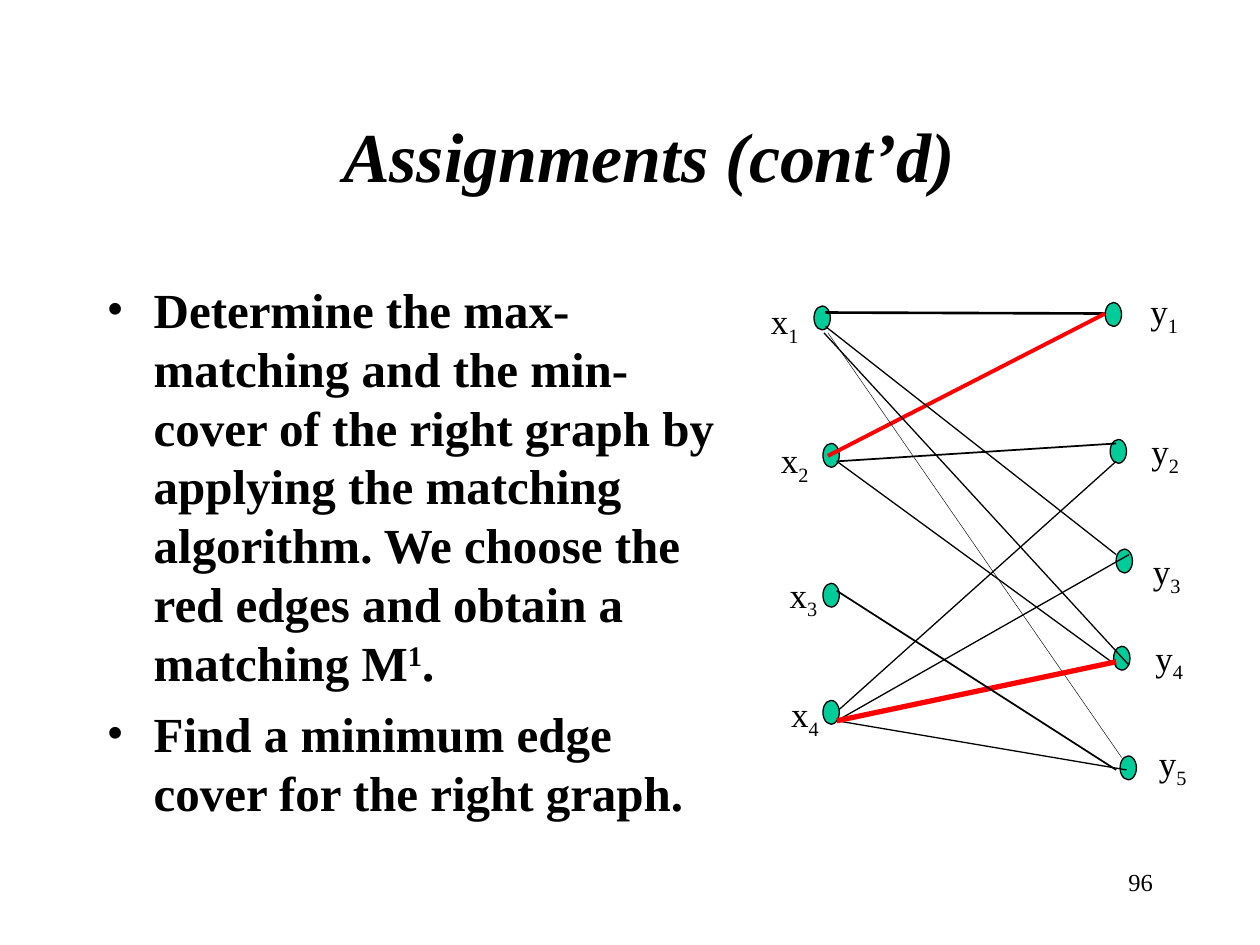
import pptx
import pptx.util
import pptx.dml.color
import pptx.enum.shapes
import pptx.enum.text
import pptx.oxml

Cm, Pt = pptx.util.Cm, pptx.util.Pt
RGBColor = pptx.dml.color.RGBColor
ALIGN = pptx.enum.text.PP_ALIGN
BLACK = RGBColor(0x00, 0x00, 0x00)
RED = RGBColor(0xFF, 0x00, 0x00)
GREEN = RGBColor(0x00, 0xCC, 0x99)
NS = 'xmlns:a="http://schemas.openxmlformats.org/drawingml/2006/main"'

HEAD = {"size": Pt(40), "bold": True, "italic": True}
BODY = {"size": Pt(28), "bold": True}
LABEL = {"size": Pt(20)}
PAGE = {"size": Pt(14)}


def add_run(para, text, style, shift=0):
    run = para.add_run()
    run.text = text
    for key, val in {"name": "Times New Roman", **style}.items():
        setattr(run.font, key, val)
    run.font.color.rgb = BLACK
    if shift:
        run.font._element.set("baseline", str(shift * 1000))


def add_box(left, top, width, height):
    box = slide.shapes.add_textbox(Cm(left), Cm(top), Cm(width), Cm(height))
    box.text_frame.word_wrap = True
    return box.text_frame


prs = pptx.Presentation()
prs.slide_width, prs.slide_height = Cm(25.4), Cm(19.05)
slide = prs.slides.add_slide(prs.slide_layouts[5])

# Title
title = slide.shapes.title
place = {"left": 2.29, "top": 1.52, "width": 21.59, "height": 3.18}
for key, val in place.items():
    setattr(title, key, Cm(val))
frame = title.text_frame
frame.vertical_anchor = pptx.enum.text.MSO_ANCHOR.MIDDLE
frame.auto_size = pptx.enum.text.MSO_AUTO_SIZE.NONE
frame.paragraphs[0].alignment = ALIGN.CENTER
add_run(frame.paragraphs[0], "Assignments (cont’d)", HEAD)

# Bulleted tasks
tasks = [
    [("Determine the max-matching and the min-cover of the right graph by "
      "applying the matching algorithm. We choose the red edges and obtain "
      "a matching M", 0), ("1", 30), (".", 0)],
    [("Find a minimum edge cover for the right graph.", 0)],
]
frame = add_box(1.9, 5.51, 13, 11.43)
for num, task in enumerate(tasks):
    para = frame.add_paragraph() if num else frame.paragraphs[0]
    para.space_before = Pt(7)
    props = para._p.get_or_add_pPr()
    props.set("marL", str(Cm(0.95)))
    props.set("indent", str(Cm(-0.95)))
    for mark in ('buFont %s typeface="Times New Roman"', 'buChar %s char="•"'):
        props.append(pptx.oxml.parse_xml("<a:" + mark % NS + "/>"))
    for text, shift in task:
        add_run(para, text, BODY, shift)

# Nodes and labels: name, node left and top, label left and top
nodes = [
    ("x1", 16.41, 6.17, 15.29, 5.92),
    ("x2", 16.59, 8.94, 15.49, 8.71),
    ("x3", 16.59, 11.76, 15.67, 11.43),
    ("x4", 16.59, 14.12, 15.7, 13.84),
    ("y1", 22.28, 6.1, 22.94, 5.72),
    ("y2", 22.38, 8.86, 22.96, 8.53),
    ("y3", 22.5, 11.07, 22.99, 10.95),
    ("y4", 22.45, 13.03, 23.04, 12.7),
    ("y5", 22.58, 15.24, 23.11, 14.83),
]
for name, left, top, tag_left, tag_top in nodes:
    dot = slide.shapes.add_shape(pptx.enum.shapes.MSO_SHAPE.OVAL,
                                 Cm(left), Cm(top), Cm(0.33), Cm(0.48))
    dot.shadow.inherit = False
    dot.fill.solid()
    dot.fill.fore_color.rgb = GREEN
    dot.line.color.rgb = BLACK
    dot.line.width = Pt(0.75)
    para = add_box(tag_left, tag_top, 1.65, 1.22).paragraphs[0]
    para.space_before = Pt(12.5)
    add_run(para, name[0], LABEL)
    add_run(para, name[1], LABEL, -25)

# Edges: start, end, width, colour
edges = [
    (16.64, 6.3, 22.28, 6.32, 1.5, BLACK),
    (16.69, 9.19, 22.28, 6.32, 2.25, RED),
    (16.92, 14.3, 22.5, 9.3, 0.75, BLACK),
    (16.64, 6.58, 22.5, 11.18, 0.75, BLACK),
    (16.61, 6.71, 22.76, 13.41, 0.75, BLACK),
    (16.69, 6.71, 22.61, 15.27, 0.25, BLACK),
    (16.87, 9.3, 22.5, 8.94, 1, BLACK),
    (16.87, 9.3, 22.5, 13.41, 0.75, BLACK),
    (16.87, 14.53, 22.76, 11.18, 0.75, BLACK),
    (16.87, 14.53, 22.71, 15.52, 0.75, BLACK),
    (16.87, 14.53, 22.5, 13.34, 3, RED),
    (16.87, 11.91, 22.5, 15.52, 1, BLACK),
]
for *ends, width, color in edges:
    edge = slide.shapes.add_connector(
        pptx.enum.shapes.MSO_CONNECTOR.STRAIGHT, *map(Cm, ends))
    edge.line.color.rgb = color
    edge.line.width = Pt(width)
    edge._element.spPr.append(pptx.oxml.parse_xml(f"<a:effectLst {NS}/>"))

# Page number
para = add_box(18.21, 17.35, 5.28, 1.27).paragraphs[0]
para.alignment = ALIGN.RIGHT
add_run(para, "96", PAGE)

prs.save("out.pptx")
